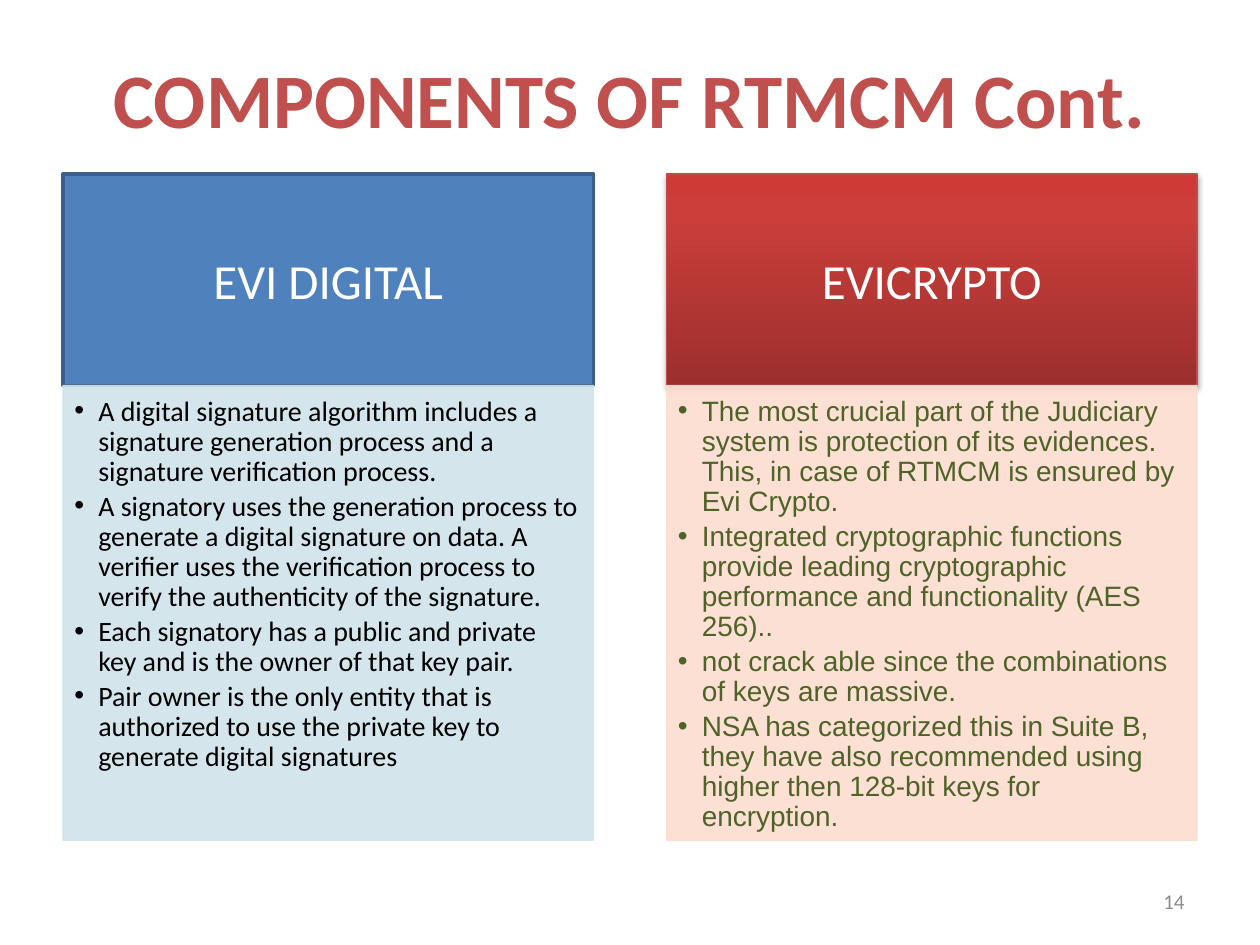
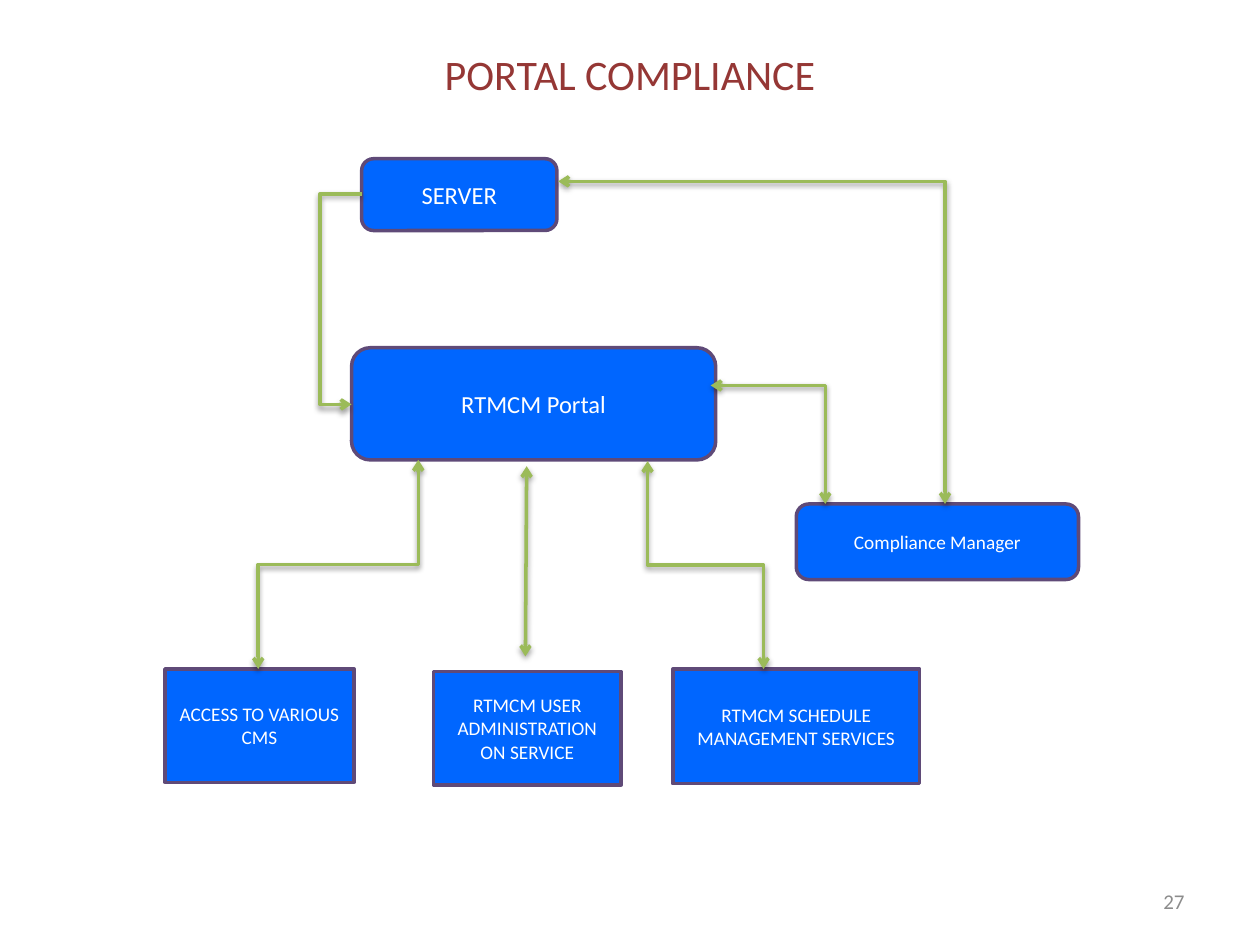
from copy import deepcopy
from lxml.etree import SubElement as Sub
from pptx import Presentation
from pptx.dml.color import RGBColor as RGB
from pptx.enum.shapes import MSO_CONNECTOR as LINK, MSO_SHAPE as FORM
from pptx.enum.text import MSO_ANCHOR as ANCHOR, MSO_AUTO_SIZE as AUTO, PP_ALIGN as ALIGN
from pptx.oxml.ns import qn
from pptx.util import Pt

PX = 9144
FONT = "Calibri"
HUE = {key: RGB.from_string(val) for key, val in {
    "coral": "C0504D", "wine": "953735", "grey": "8C8C8C", "white": "FFFFFF",
    "black": "000000", "blue": "4F81BD", "navy": "3A5F8C", "sky": "D0E3EA",
    "brick": "BF4C48", "dark": "9C2F2D", "red": "CB3E3A", "bright": "CE3B37",
    "peach": "FCDDCF", "olive": "4F6228", "azure": "0066FF", "plum": "5F4A78",
    "green": "9BBB59"}.items()}


def write(shape, lines, size, hue, align=ALIGN.CENTER, bold=False, font=FONT):
    frame = shape.text_frame
    frame.text = "\n".join(lines)
    frame.word_wrap = True
    frame.auto_size = AUTO.NONE
    frame.vertical_anchor = ANCHOR.MIDDLE
    for para in frame.paragraphs:
        para.alignment = align
        para.font.name, para.font.size, para.font.bold = font, Pt(size), bold
        para.font.color.rgb = HUE[hue]


def shade(shape, alpha):
    effect = Sub(shape._element.spPr, qn("a:effectLst"))
    outer = Sub(effect, qn("a:outerShdw"), blurRad="40000", dist="22000",
                dir="5400000", rotWithShape="0")
    color = Sub(outer, qn("a:srgbClr"), val=str(HUE["black"]))
    Sub(color, qn("a:alpha"), val=str(alpha * 1000))


deck = Presentation()
deck.slide_width, deck.slide_height = 1000 * PX, 750 * PX

pages = []
for layout, title, height, size, hue, bold, number in [
        (3, "COMPONENTS OF RTMCM Cont.", 95, 44, "coral", True, "14"),
        (5, "PORTAL COMPLIANCE", 57, 24, "wine", False, "27")]:
    page = deck.slides.add_slide(deck.slide_layouts[layout])
    head = page.shapes.title
    head.left, head.top, head.width, head.height = [n * PX for n in (50, 30, 900, height)]
    write(head, [title], size, hue, bold=bold)
    foot = page.shapes.add_textbox(*[n * PX for n in (717, 695, 233, 40)])
    write(foot, [number], 12, "grey", ALIGN.RIGHT)
    pages.append(page)

parts, portal = pages

cards = [
    ("EVI DIGITAL", "navy", 2, "sky", "black", FONT, [
        "A digital signature algorithm includes a signature generation process and a signature verification process.",
        "A signatory uses the generation process to generate a digital signature on data. A verifier uses the verification process to verify the authenticity of the signature.",
        "Each signatory has a public and private key and is the owner of that key pair.",
        "Pair owner is the only entity that is authorized to use the private key to generate digital signatures"]),
    ("EVICRYPTO", "brick", 0.75, "peach", "olive", "Arial", [
        "The most crucial part of the Judiciary system is protection of its evidences. This, in case of RTMCM is ensured by Evi Crypto.",
        "Integrated cryptographic functions provide leading cryptographic performance and functionality (AES 256)..",
        "not crack able since the combinations of keys are massive.",
        "NSA has categorized this in Suite B, they have also recommended using higher then 128-bit keys for encryption."])]

for i, (name, edge, wide, pale, ink, font, items) in enumerate(cards):
    left = 50 + i * 479
    top = parts.shapes.add_shape(FORM.RECTANGLE, *[n * PX for n in (left, 138, 421, 168)])
    top.line.color.rgb, top.line.width = HUE[edge], Pt(wide)
    write(top, [name], 28, "white")
    if name == "EVICRYPTO":
        top.fill.gradient()
        top.fill.gradient_angle = 90
        stops = top._element.spPr.find(".//" + qn("a:gsLst"))
        stops.append(deepcopy(stops[-1]))
        for stop, spot, hue in zip(top.fill.gradient_stops, (0, 0.8, 1), ("dark", "red", "bright")):
            stop.position, stop.color.rgb = spot, HUE[hue]
        shade(top, 35)
    else:
        top.shadow.inherit = False
        top.fill.solid()
        top.fill.fore_color.rgb = HUE["blue"]

    body = parts.placeholders[i + 1]
    parts.shapes._spTree.append(body._element)
    body.left, body.top, body.width, body.height = [n * PX for n in (left, 306, 421, 361)]
    body.fill.solid()
    body.fill.fore_color.rgb = HUE[pale]
    body.line.color.rgb, body.line.width = HUE[pale], Pt(0.75)
    for color in body._element.spPr.iter(qn("a:srgbClr")):
        Sub(color, qn("a:alpha"), val="90000")
    write(body, items, 16, ink, ALIGN.LEFT, font=font)
    frame = body.text_frame
    frame.vertical_anchor = ANCHOR.TOP
    frame.margin_left, frame.margin_top, frame.margin_right, frame.margin_bottom = [
        n * PX for n in (9, 9, 12, 14)]
    for para in frame.paragraphs:
        para.line_spacing, para.space_before, para.space_after = 0.9, Pt(0), Pt(2.5)
        props = para._p.get_or_add_pPr()
        props.set("marL", str(19 * PX))
        props.set("indent", str(-19 * PX))

for form, name, size, *area in [
        (FORM.ROUNDED_RECTANGLE, "SERVER", 14, 287, 126, 155, 57),
        (FORM.ROUNDED_RECTANGLE, "RTMCM Portal", 14, 279, 276, 289, 89),
        (FORM.ROUNDED_RECTANGLE, "Compliance Manager", 11, 632, 400, 224, 60),
        (FORM.RECTANGLE, "ACCESS TO VARIOUS CMS", 11, 131, 531, 150, 90),
        (FORM.RECTANGLE, "RTMCM USER ADMINISTRATION ON SERVICE", 11, 344, 533, 149, 90),
        (FORM.RECTANGLE, "RTMCM SCHEDULE MANAGEMENT SERVICES", 11, 534, 531, 196, 91)]:
    box = portal.shapes.add_shape(form, *[n * PX for n in area])
    box.shadow.inherit = False
    box.fill.solid()
    box.fill.fore_color.rgb = HUE["azure"]
    box.line.color.rgb, box.line.width = HUE["plum"], Pt(2)
    write(box, [name], size, "white")

for ends, kind, turn, flips, bend, both in [
        ((287, 154, 279, 321), "bentConnector3", 180, "V", 412500, False),
        ((205, 531, 332, 365), "bentConnector3", 90, "HV", 50000, True),
        ((750, 400, 443, 144), "bentConnector2", 270, "V", None, True),
        ((418, 370, 417, 521), None, 0, "", None, True),
        ((606, 531, 514, 366), "bentConnector3", 270, "V", 50000, True),
        ((655, 400, 564, 306), "bentConnector2", 270, "V", None, True)]:
    link = portal.shapes.add_connector(LINK.ELBOW if kind else LINK.STRAIGHT, *[n * PX for n in ends])
    link.line.color.rgb, link.line.width = HUE["green"], Pt(2)
    props = link._element.spPr
    if kind:
        if turn % 180:
            left, top, wide, tall = link.left, link.top, link.width, link.height
            link.left, link.top = left + (wide - tall) // 2, top + (tall - wide) // 2
            link.width, link.height = tall, wide
        frame = props.find(qn("a:xfrm"))
        frame.set("rot", str(turn * 60000))
        for axis in "HV":
            frame.set("flip" + axis, str(int(axis in flips)))
        shape = props.find(qn("a:prstGeom"))
        shape.set("prst", kind)
        if bend:
            Sub(shape.find(qn("a:avLst")), qn("a:gd"), name="adj1", fmla=f"val {bend}")
    pen = link.line._get_or_add_ln()
    for tip in ("headEnd", "tailEnd") if both else ("tailEnd",):
        Sub(pen, qn("a:" + tip), type="arrow")
    shade(link, 38)

deck.save("out.pptx")
